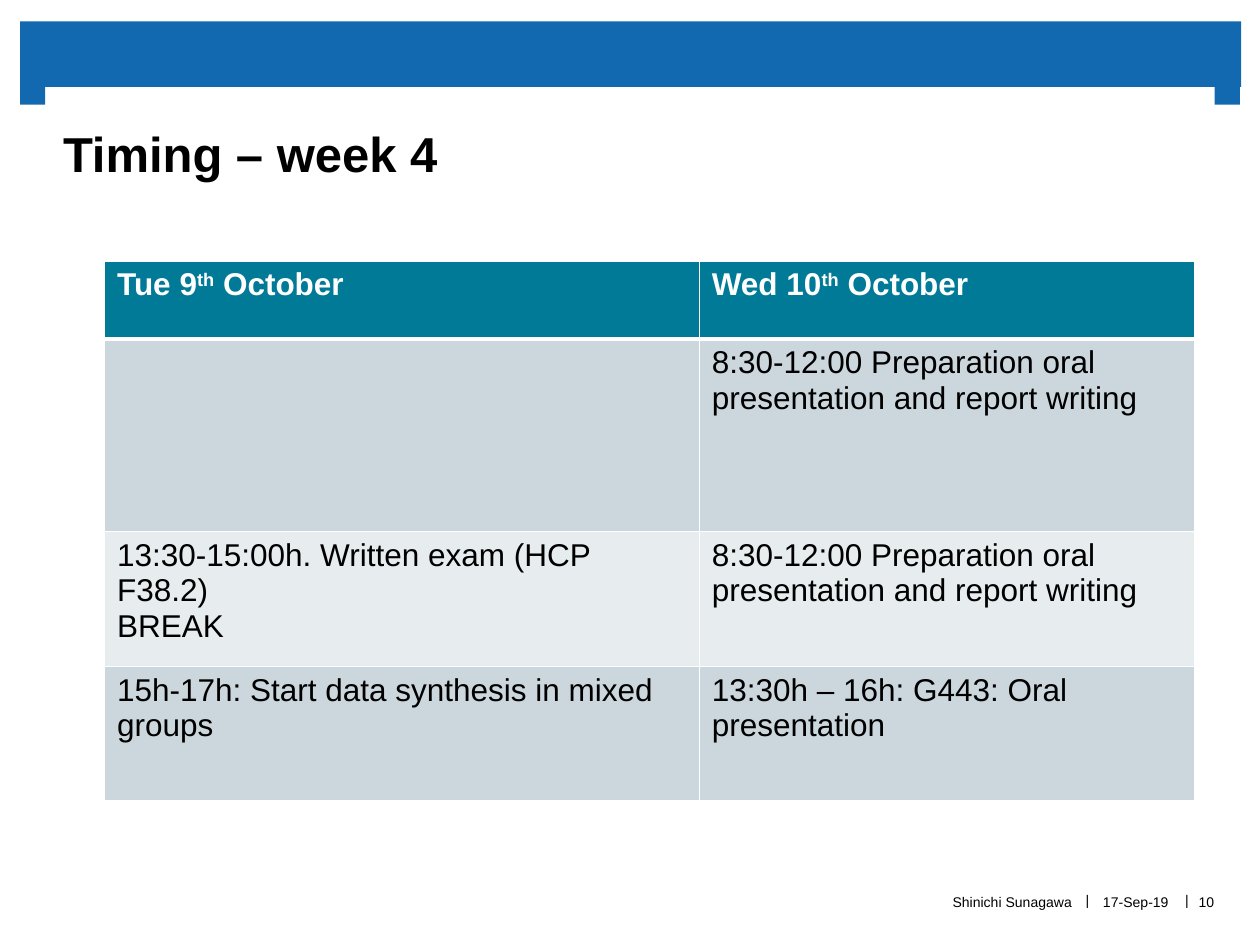
from typing import NamedTuple

from lxml.etree import SubElement
from pptx import Presentation
from pptx.dml.color import RGBColor
from pptx.enum.shapes import MSO_SHAPE
from pptx.enum.text import MSO_ANCHOR, PP_ALIGN
from pptx.oxml.ns import qn
from pptx.util import Inches, Pt

BLUE, TEAL, WHITE, BLACK = "1269B0", "007A96", "FFFFFF", "000000"
BANDS = ["CCD7DD", "E7ECEF"]


class Bar(NamedTuple):
    left: float
    top: float
    width: float
    height: float


class Footer(NamedTuple):
    text: str
    left: float
    top: float
    width: float
    align: PP_ALIGN = PP_ALIGN.CENTER


BARS = [Bar(0.16, 0.17, 9.69, 0.52), Bar(0.16, 0.65, 0.2, 0.18), Bar(9.64, 0.65, 0.2, 0.18)]
FOOTERS = [
    Footer("|", 9.36, 6.89, 0.12),
    Footer("|", 8.57, 6.89, 0.12),
    Footer("17-Sep-19", 8.68, 6.9, 0.67),
    Footer("Shinichi Sunagawa", 5, 6.9, 3.51, PP_ALIGN.RIGHT),
    Footer("10", 9.43, 6.9, 0.29),
]
COL_WIDTHS = [4.72, 3.93]
ROW_HEIGHTS = [0.62, 1.53, 1.07, 1.07]
HEADERS = [("Tue 9", "th", " October"), ("Wed 10", "th", " October")]
PREPARATION = "8:30-12:00 Preparation oral presentation and report writing"
ROWS = [
    ["", PREPARATION],
    ["13:30-15:00h. Written exam (HCP F38.2)\nBREAK", PREPARATION],
    ["15h-17h: Start data synthesis in mixed groups", "13:30h – 16h: G443: Oral presentation"],
]


def rgb(color: str) -> RGBColor:
    return RGBColor.from_string(color)


def style(p, size: float, color: str = BLACK, bold: bool = False) -> None:
    p.font.name = "Arial"
    p.font.size = Pt(size)
    p.font.bold = bold
    p.font.color.rgb = rgb(color)


def set_margins(tf, left: float, right: float) -> None:
    tf.margin_left, tf.margin_right = Inches(left), Inches(right)
    tf.margin_top = tf.margin_bottom = 0
    tf.vertical_anchor = MSO_ANCHOR.MIDDLE


def add_bar(s, bar: Bar) -> None:
    sp = s.shapes.add_shape(MSO_SHAPE.RECTANGLE, *map(Inches, bar))
    sp.shadow.inherit = False
    sp.fill.solid()
    sp.fill.fore_color.rgb = rgb(BLUE)
    sp.line.fill.background()


def add_footer(s, item: Footer) -> None:
    sp = s.shapes.add_textbox(*map(Inches, (item.left, item.top, item.width, 0.51)))
    tf = sp.text_frame
    set_margins(tf, 0, 0)
    tf.word_wrap = False
    p = tf.paragraphs[0]
    p.text = item.text
    p.alignment = item.align
    style(p, 8)


def format_cell(cell, fill: str, color: str, header: bool) -> None:
    tcPr = cell._tc.get_or_add_tcPr()
    for side in "LRTB":
        width = Pt(3 if header and side == "B" else 1)
        ln = SubElement(tcPr, qn(f"a:ln{side}"), w=str(width))
        SubElement(SubElement(ln, qn("a:solidFill")), qn("a:srgbClr"), val=WHITE)
    cell.fill.solid()
    cell.fill.fore_color.rgb = rgb(fill)
    for p in cell.text_frame.paragraphs:
        style(p, 18, color, header)


def add_schedule(s) -> None:
    frame = s.shapes.add_table(len(ROW_HEIGHTS), len(COL_WIDTHS), Inches(0.83), Inches(2.07),
                               Inches(sum(COL_WIDTHS)), Inches(sum(ROW_HEIGHTS)))
    table = frame.table
    for column, width in zip(table.columns, COL_WIDTHS):
        column.width = Inches(width)
    for row, height in zip(table.rows, ROW_HEIGHTS):
        row.height = Inches(height)

    # Dates with raised ordinals
    for col, parts in enumerate(HEADERS):
        cell = table.cell(0, col)
        p = cell.text_frame.paragraphs[0]
        for part in parts:
            r = p.add_run()
            r.text = part
            if part == "th":
                r._r.get_or_add_rPr().set("baseline", "30000")
        format_cell(cell, TEAL, WHITE, True)

    # Sessions in alternating bands
    for i, texts in enumerate(ROWS):
        for col, text in enumerate(texts):
            cell = table.cell(i + 1, col)
            cell.text = text
            format_cell(cell, BANDS[i % 2], BLACK, False)


prs = Presentation()
prs.slide_width, prs.slide_height = Inches(10), Inches(7.5)
s = prs.slides.add_slide(prs.slide_layouts[5])

# Title
title = s.shapes.title
title.left, title.top, title.width, title.height = map(Inches, (0.35, 0.68, 9.29, 1.06))
title.fill.solid()
title.fill.fore_color.rgb = rgb(WHITE)
set_margins(title.text_frame, 0.15, 0.16)
p = title.text_frame.paragraphs[0]
p.text = "Timing – week 4"
p.alignment = PP_ALIGN.LEFT
style(p, 28, BLACK, True)

# Top banner, schedule and footer
for bar in BARS:
    add_bar(s, bar)
add_schedule(s)
for item in FOOTERS:
    add_footer(s, item)

prs.save("out.pptx")
